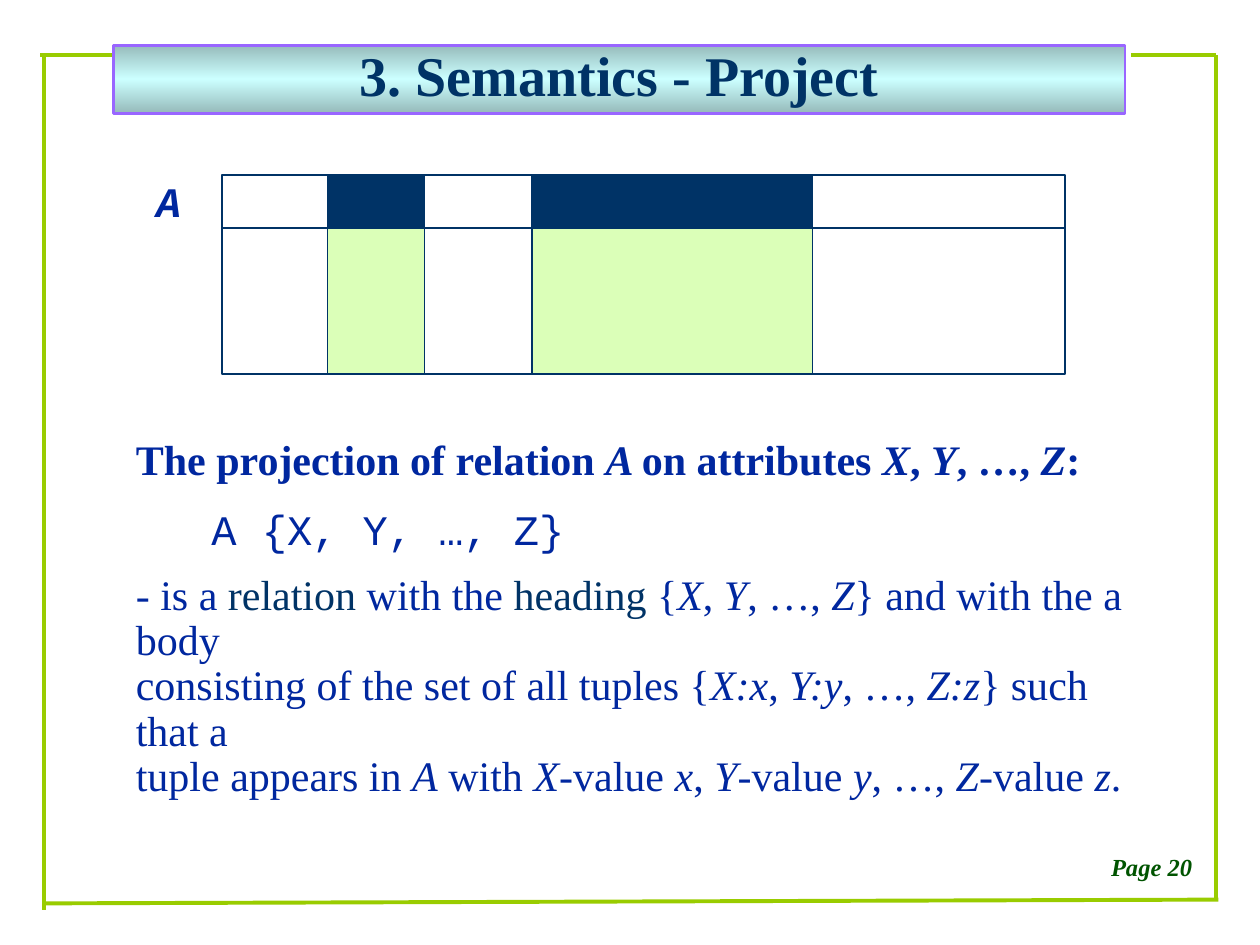
from copy import deepcopy
from pptx import Presentation
from pptx import util as u
from pptx.dml import color
from pptx.enum import shapes, text
from pptx.oxml import ns, xmlchemy

HUES = {
    "frame": "99CC00", "navy": "003366", "blue": "00279F", "green": "005400",
    "lime": "DBFFB8", "white": "FFFFFF", "edge": "9966FF",
    "teal": "96BBBB", "pale": "CCFFFF",
}
SERIF, MONO = "Times New Roman", "Courier New"
COLS, ROWS = 100, 75


def rgb(name):
    return color.RGBColor.from_string(HUES[name])


class Deck:
    def __init__(self):
        self.prs = Presentation()
        self.prs.slide_width, self.prs.slide_height = u.Inches(10), u.Inches(7.5)
        self.slide = self.prs.slides.add_slide(self.prs.slide_layouts[6])
        self.shapes = self.slide.shapes

    def x(self, col):
        return round(self.prs.slide_width * col / COLS)

    def y(self, row):
        return round(self.prs.slide_height * row / ROWS)

    def area(self, left, top, wide, high):
        return self.x(left), self.y(top), self.x(wide), self.y(high)

    def line(self, start, end, hue, width):
        link = self.shapes.add_connector(
            shapes.MSO_CONNECTOR.STRAIGHT,
            self.x(start[0]), self.y(start[1]), self.x(end[0]), self.y(end[1]))
        link.line.color.rgb = rgb(hue)
        link.line.width = u.Pt(width)
        link._element.spPr.append(xmlchemy.OxmlElement("a:effectLst"))

    def rect(self, area, fill, edge="navy", width=1):
        box = self.shapes.add_shape(shapes.MSO_SHAPE.RECTANGLE, *self.area(*area))
        box.shadow.inherit = False
        box.line.color.rgb = rgb(edge)
        box.line.width = u.Pt(width)
        if isinstance(fill, str):
            box.fill.solid()
            box.fill.fore_color.rgb = rgb(fill)
        else:
            self.blend(box, fill)
        return box

    def blend(self, box, hues):
        box.fill.gradient()
        box.fill.gradient_angle = 90
        stops = box._element.spPr.find(".//" + ns.qn("a:gsLst"))
        while len(stops) < len(hues):
            stops.append(deepcopy(stops[0]))
        for i, (stop, hue) in enumerate(zip(box.fill.gradient_stops, hues)):
            stop.position = i / (len(hues) - 1)
            stop.color.rgb = rgb(hue)

    def para(self, par, words, size=24, hue="blue", face=SERIF, bold=False,
             slant=False, align=None, space=0.9, before=0, indent=0):
        if indent:
            props = par._p.get_or_add_pPr()
            props.set("marL", str(self.x(indent)))
            props.set("indent", "0")
        par.alignment = align
        par.line_spacing = space
        if before:
            par.space_before = u.Pt(before)
        font = par.font
        font.name, font.size, font.bold, font.italic = face, u.Pt(size), bold, slant
        font.color.rgb = rgb(hue)
        for i, part in enumerate(words.split("|")):
            for j, bit in enumerate(part.split("*")):
                if bit:
                    run = par.add_run()
                    run.text = bit
                    if i % 2:
                        run.font.color.rgb = rgb("navy")
                    if j % 2:
                        run.font.italic = True

    def text(self, area, paras, wrap=True):
        frame = self.shapes.add_textbox(*self.area(*area)).text_frame
        frame.word_wrap = wrap
        for i, (words, style) in enumerate(paras):
            par = frame.add_paragraph() if i else frame.paragraphs[0]
            self.para(par, words, **style)

    def title(self, area, words):
        box = self.rect(area, ["teal", "pale", "teal"], "edge", 1.5)
        box.text_frame.vertical_anchor = text.MSO_ANCHOR.MIDDLE
        self.para(box.text_frame.paragraphs[0], words, size=32, hue="navy",
                  bold=True, align=text.PP_ALIGN.CENTER, space=0.85)


def main():
    deck = Deck()
    for start, end in [
        ((9, 4.4), (3.2, 4.4)),
        ((3.5, 4.4), (3.5, 72.2)),
        ((3.5, 71.7), (96.7, 71.4)),
        ((96.5, 4.4), (96.5, 71.4)),
        ((96.5, 4.4), (89.8, 4.4)),
    ]:
        deck.line(start, end, "frame", 2.25)

    deck.text((83.9, 67.4, 15, 3.1), [("Page 20", dict(
        size=14, hue="green", bold=True, slant=True,
        align=text.PP_ALIGN.CENTER))], wrap=False)

    deck.text((9.8, 34.4, 83.3, 29.8), [
        ("The projection of relation *A *on attributes *X*, *Y*, …, *Z*:",
         dict(bold=True)),
        ("A {X, Y, …, Z}", dict(face=MONO, before=13.8, indent=6)),
        ("- is a |relation| with the |heading| {*X*, *Y*, …, *Z*} "
         "and with the a body", dict(before=11)),
        ("consisting of the set of all tuples {*X:x*, *Y:y*, …, *Z:z*} "
         "such that a", {}),
        ("tuple appears in *A* with *X*-value *x*, *Y*-value *y*, …, "
         "*Z*-value *z*.", {}),
    ])
    deck.title((9, 3.6, 80.3, 5.4), "3. Semantics - Project")

    left, top, wide, high, head = 17.6, 13.9, 66.9, 15.8, 4.2
    picks = [(26, 7.7), (42.2, 22.3)]
    deck.rect((left, top, wide, high), "white")
    deck.text((11.4, top, 4, 4.6), [("A", dict(
        face=MONO, bold=True, slant=True))], wrap=False)
    for col, span in picks:
        deck.rect((col, top, span, high), "lime")
    deck.line((left, top + head), (left + wide, top + head), "navy", 1)
    for col, span in picks:
        deck.rect((col, top, span, head), "navy")

    deck.prs.save("out.pptx")


if __name__ == "__main__":
    main()
